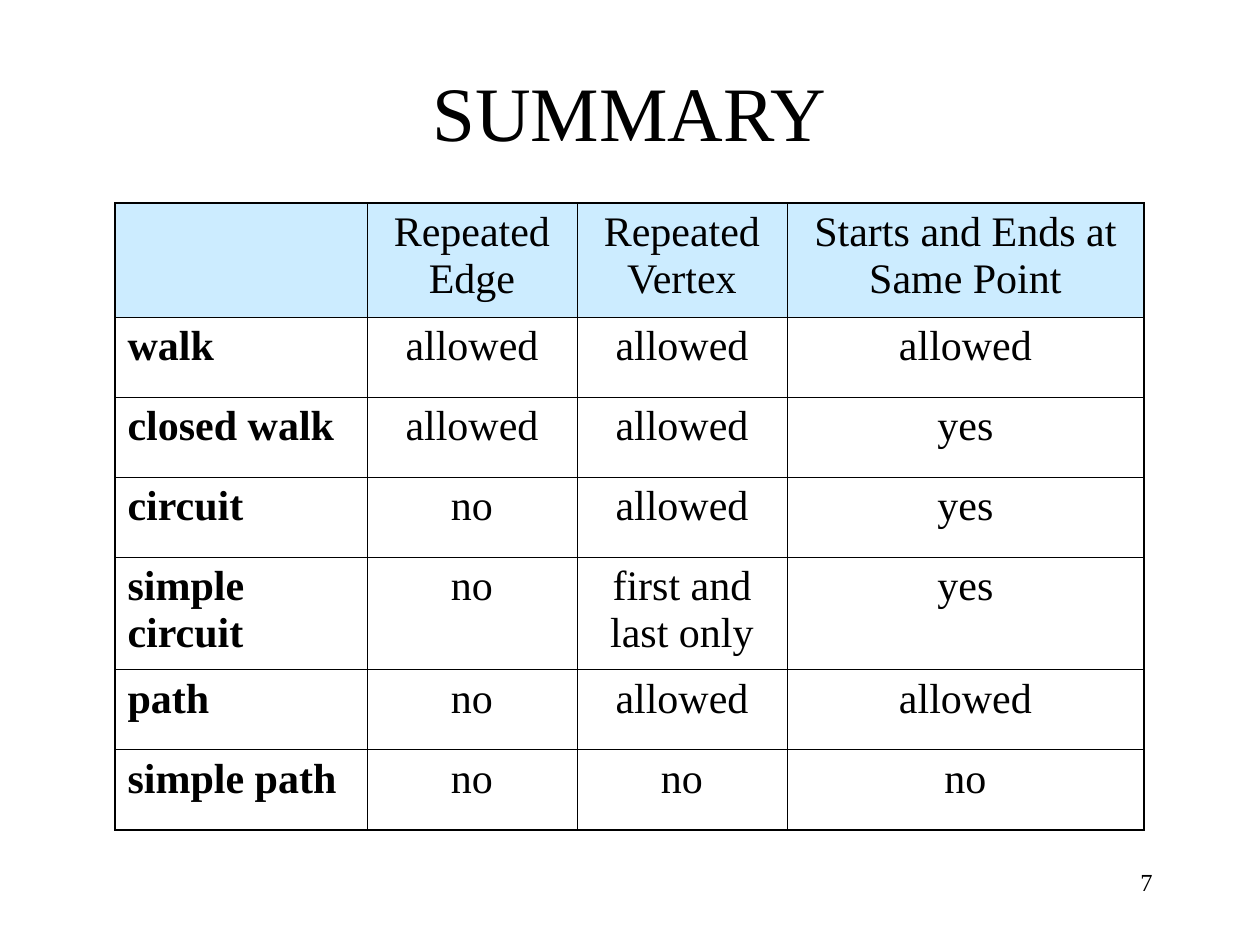
"""Build the summary slide that compares kinds of walks in a graph."""
from dataclasses import dataclass

import lxml.etree
import pptx
import pptx.dml.color
import pptx.enum.text
import pptx.oxml.ns
import pptx.util

EMU_PER_PX = 914400 / 126
FONT = "Times New Roman"
BLACK = "000000"
HEADER_FILL = "CCECFF"
THIN, THICK = 0.45, 1.08
ALIGN = pptx.enum.text.PP_ALIGN
ANCHOR = pptx.enum.text.MSO_ANCHOR

COLUMN_WIDTHS = [252, 210, 210, 357]
ROW_HEIGHTS = [114, 80, 80, 80, 113, 80, 80]
ROWS = [
    ["", "Repeated Edge", "Repeated Vertex", "Starts and Ends at Same Point"],
    ["walk", "allowed", "allowed", "allowed"],
    ["closed walk", "allowed", "allowed", "yes"],
    ["circuit", "no", "allowed", "yes"],
    ["simple circuit", "no", "first and last only", "yes"],
    ["path", "no", "allowed", "allowed"],
    ["simple path", "no", "no", "no"],
]


@dataclass
class Label:
    text: str
    left: int
    top: int
    width: int
    height: int
    size: int
    align: ALIGN
    anchor: ANCHOR


LABELS = [
    Label("7", 903, 861, 262, 63, 14, ALIGN.RIGHT, ANCHOR.TOP),
    Label("SUMMARY", 94, 53, 1071, 116, 44, ALIGN.CENTER, ANCHOR.MIDDLE),
]


def px(value: int) -> pptx.util.Emu:
    return pptx.util.Emu(round(value * EMU_PER_PX))


def color(value: str) -> pptx.dml.color.RGBColor:
    return pptx.dml.color.RGBColor.from_string(value)


def write(tf, text: str, size: int, align: ALIGN, bold: bool = False) -> None:
    p = tf.paragraphs[0]
    p.alignment = align
    r = p.add_run()
    r.text = text
    r.font.name = FONT
    r.font.size = pptx.util.Pt(size)
    r.font.bold = bold
    r.font.color.rgb = color(BLACK)


def add_label(s, label: Label) -> None:
    sp = s.shapes.add_textbox(
        px(label.left), px(label.top), px(label.width), px(label.height))
    tf = sp.text_frame
    tf.word_wrap = True
    tf.vertical_anchor = label.anchor
    write(tf, label.text, label.size, label.align)


def set_borders(cell, widths: dict[str, float]) -> None:
    qn = pptx.oxml.ns.qn
    tc_pr = cell._tc.get_or_add_tcPr()
    for position, (side, width) in enumerate(widths.items()):
        ln = lxml.etree.Element(qn(f"a:ln{side}"), w=str(pptx.util.Pt(width)))
        fill = lxml.etree.SubElement(ln, qn("a:solidFill"))
        lxml.etree.SubElement(fill, qn("a:srgbClr"), val=BLACK)
        tc_pr.insert(position, ln)


def add_summary_table(s, left: int, top: int) -> None:
    last_row, last_column = len(ROWS) - 1, len(COLUMN_WIDTHS) - 1
    table = s.shapes.add_table(
        len(ROWS), len(COLUMN_WIDTHS), px(left), px(top),
        px(sum(COLUMN_WIDTHS)), px(sum(ROW_HEIGHTS))).table
    table.first_row = table.horz_banding = False
    for column, width in zip(table.columns, COLUMN_WIDTHS):
        column.width = px(width)
    for row, height in zip(table.rows, ROW_HEIGHTS):
        row.height = px(height)
    for i, texts in enumerate(ROWS):
        for j, text in enumerate(texts):
            cell = table.cell(i, j)
            if i == 0:
                cell.fill.solid()
                cell.fill.fore_color.rgb = color(HEADER_FILL)
            else:
                cell.fill.background()
            outer = {"L": j == 0, "R": j == last_column,
                     "T": i == 0, "B": i == last_row}
            set_borders(cell, {side: THICK if edge else THIN
                               for side, edge in outer.items()})
            if text:
                align = ALIGN.LEFT if j == 0 else ALIGN.CENTER
                write(cell.text_frame, text, 24, align, bold=j == 0)


def main() -> None:
    prs = pptx.Presentation()
    prs.slide_width, prs.slide_height = px(1260), px(945)
    s = prs.slides.add_slide(prs.slide_layouts[6])
    add_summary_table(s, 115, 203)
    for label in LABELS:
        add_label(s, label)
    prs.save("out.pptx")


if __name__ == "__main__":
    main()
